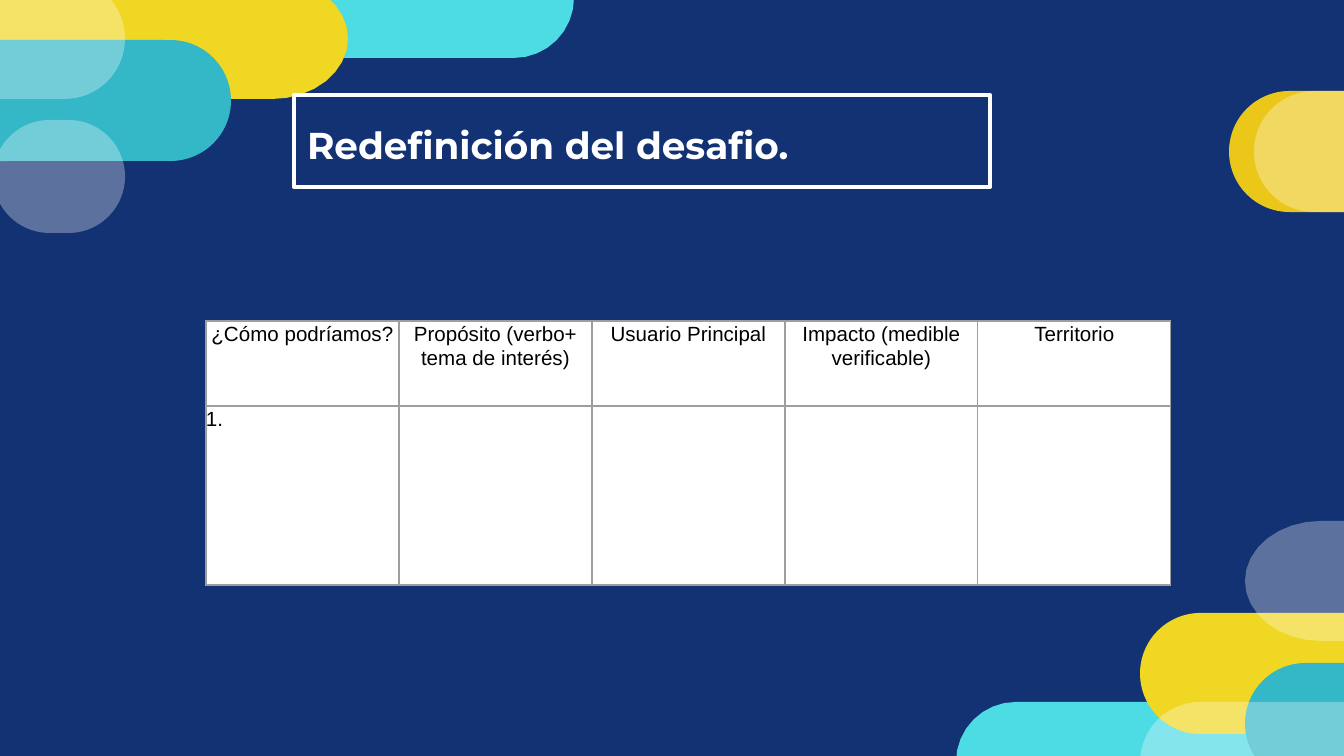
from math import cos, pi, sin

from lxml.etree import SubElement
from pptx import Presentation
from pptx.dml.color import RGBColor
from pptx.enum.shapes import MSO_SHAPE as Shape
from pptx.enum.text import MSO_ANCHOR as Anchor, MSO_AUTO_SIZE as Fit, PP_ALIGN as Align
from pptx.oxml.ns import qn
from pptx.util import Pt

# Content
TITLE = "Redefinición del desafio."
ROWS = [
    ["¿Cómo podríamos?", "Propósito (verbo+ tema de interés)", "Usuario Principal",
     "Impacto (medible verificable)", "Territorio"],
    ["1.", "", "", "", ""],
]

COLORS = {
    "navy": "133273", "white": "FFFFFF", "black": "000000", "grey": "9E9E9E",
    "gold": "EBC71A", "yellow": "F0D724", "cyan": "4DDCE4", "teal": "34B7C7",
}
VEIL = 31  # opacity of the white pills, in percent

# Layout in px
PX = 914400 / 134.4
SIZE = (1344, 756)
TITLE_BOX = (294, 95, 696, 92)
TABLE_AT = (206, 321)
COL_W = 193
ROW_H = [85, 179]

# Arcs of an outline, in quarter turns from the right side, clockwise
FULL, LOWER, UPPER = range(4), range(2), range(2, 4)

# Color, box, and for pills without round ends: corner width, arcs
PILLS = [
    ("gold", (1229, 91, 301, 121)),
    ("white", (1254, 91, 194, 121)),
    ("cyan", (273, -2, 301, 60), 60, LOWER),
    ("yellow", (-31, -22, 379, 121), 76, FULL),
    ("teal", (-90, 40, 321, 121)),
    ("white", (-196, -22, 321, 121)),
    ("white", (-7, 120, 132, 113)),
    ("cyan", (956, 702, 301, 60), 60, UPPER),
    ("yellow", (1140, 613, 301, 121)),
    ("teal", (1245, 663, 212, 121)),
    ("white", (1245, 521, 269, 120), 76, FULL),
    ("white", (1140, 702, 301, 121)),
]


def emu(px):
    return round(px * PX)


def rgb(name):
    return RGBColor.from_string(COLORS[name])


def outline(box, rx, arcs, steps=8):
    """Points along the rounded corners; the straight sides join them."""
    x, y, w, h = box
    ry = h / 2 if arcs == FULL else h
    points = []
    for arc in arcs:
        cx = x + w - rx if arc in (0, 3) else x + rx
        cy = y + h - ry if arc in (0, 1) else y + ry
        for i in range(steps + 1):
            turn = (arc + i / steps) * pi / 2
            points.append((emu(cx + rx * cos(turn)), emu(cy + ry * sin(turn))))
    return points


def add_pill(slide, color, box, *curve):
    if curve:
        start, *rest = outline(box, *curve)
        edge = slide.shapes.build_freeform(*start)
        edge.add_line_segments(rest, close=True)
        pill = edge.convert_to_shape()
    else:
        pill = slide.shapes.add_shape(Shape.ROUNDED_RECTANGLE, *map(emu, box))
        pill.adjustments[0] = 0.5
    pill.shadow.inherit = False
    pill.line.fill.background()
    pill.fill.solid()
    pill.fill.fore_color.rgb = rgb(color)
    if color == "white":
        tint = next(pill._element.spPr.iter(qn("a:srgbClr")))
        SubElement(tint, qn("a:alpha"), val=str(VEIL * 1000))


def set_font(par, size, name, color, bold=False):
    font = par.font
    font.size, font.name, font.bold = Pt(size), name, bold
    font.color.rgb = rgb(color)


def add_title(slide):
    title = slide.shapes.title
    title.left, title.top, title.width, title.height = map(emu, TITLE_BOX)
    title.line.color.rgb = rgb("white")
    title.line.width = Pt(2.25)
    frame = title.text_frame
    frame.word_wrap, frame.auto_size = True, Fit.NONE
    frame.vertical_anchor = Anchor.MIDDLE
    frame.margin_left = frame.margin_right = emu(13)
    frame.margin_top = frame.margin_bottom = emu(13)
    frame.text = TITLE
    par = frame.paragraphs[0]
    par.alignment, par.line_spacing = Align.LEFT, 1.15
    set_font(par, 20, "Montserrat", "white", True)
    # Bring the title in front of the pills
    slide.shapes._spTree.append(title._element)


def style_cell(cell, text, align):
    cell.margin_left = cell.margin_right = cell.margin_top = cell.margin_bottom = 0
    # Borders come before the fill in the cell properties
    props = cell._tc.get_or_add_tcPr()
    for side in ("a:lnL", "a:lnR", "a:lnT", "a:lnB"):
        line = SubElement(props, qn(side), w=str(Pt(0.75)))
        fill = SubElement(line, qn("a:solidFill"))
        SubElement(fill, qn("a:srgbClr"), val=COLORS["grey"])
    cell.fill.solid()
    cell.fill.fore_color.rgb = rgb("white")
    cell.text = text
    par = cell.text_frame.paragraphs[0]
    par.alignment, par.line_spacing, par.space_after = align, 1.07, Pt(8)
    set_font(par, 11, "Arial", "black")


def add_grid(slide):
    cols = len(ROWS[0])
    box = map(emu, (*TABLE_AT, COL_W * cols, sum(ROW_H)))
    table = slide.shapes.add_table(len(ROWS), cols, *box).table
    table.first_row = table.horz_banding = False
    for col in table.columns:
        col.width = emu(COL_W)
    for r, texts in enumerate(ROWS):
        table.rows[r].height = emu(ROW_H[r])
        for c, text in enumerate(texts):
            style_cell(table.cell(r, c), text, Align.LEFT if r else Align.CENTER)


def main():
    deck = Presentation()
    deck.slide_width, deck.slide_height = map(emu, SIZE)
    slide = deck.slides.add_slide(deck.slide_layouts[5])
    back = slide.background.fill
    back.solid()
    back.fore_color.rgb = rgb("navy")
    for pill in PILLS:
        add_pill(slide, *pill)
    add_title(slide)
    add_grid(slide)
    deck.save("out.pptx")


if __name__ == "__main__":
    main()
